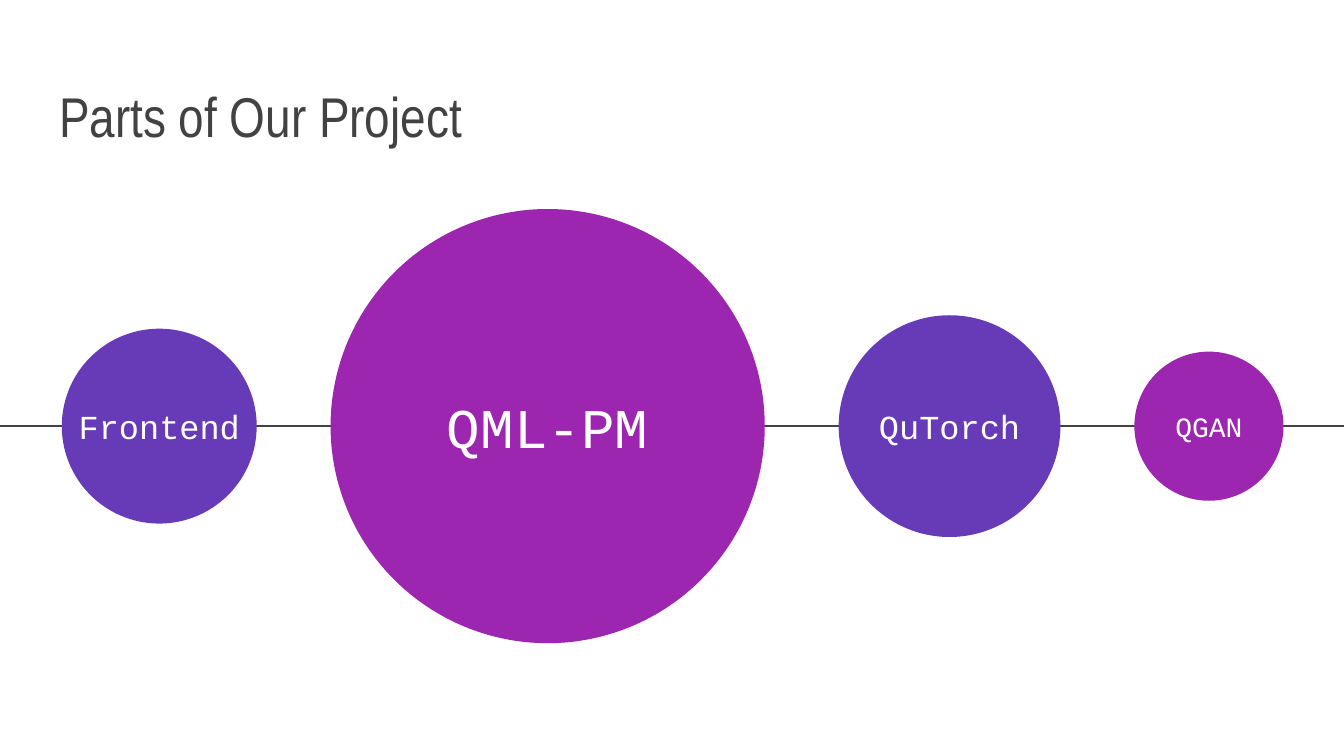
"""Build the slide that shows the project parts as circles on one line."""
from lxml import etree
from pptx import Presentation
from pptx import util as u
from pptx.dml.color import RGBColor
from pptx.enum import shapes, text
from pptx.oxml.ns import qn

TITLE = "Parts of Our Project"
PARTS = [
    ("Frontend", 104.4, "violet", "label"),
    ("QML-PM", 232.6, "purple", "large"),
    ("QuTorch", 118.8, "violet", "label"),
    ("QGAN", 79.9, "purple", "small"),
]
THEME = {
    "colors": {"dark": "424242", "violet": "673AB7", "purple": "9C26B0", "white": "FFFFFF"},
    "sizes": {"large": 30, "label": 18, "small": 15},
    "title_font": "Arial Narrow",
    "label_font": "Courier New",
}
WIDTH, HEIGHT = 720, 405
AXIS_Y = 228.3
FIRST_LEFT, GAP = 33.1, 39.6
LABEL_HEIGHT = 47.5
INSET = 7.2


def color(name):
    return RGBColor.from_string(THEME["colors"][name])


def write(shape, words, font_name, size, color_name, alignment, anchor):
    frame = shape.text_frame
    frame.text = words
    frame.word_wrap = True
    frame.auto_size = text.MSO_AUTO_SIZE.NONE
    frame.vertical_anchor = anchor
    frame.margin_left = frame.margin_right = u.Pt(INSET)
    frame.margin_top = frame.margin_bottom = u.Pt(INSET)
    paragraph = frame.paragraphs[0]
    paragraph.alignment = alignment
    paragraph.font.name = font_name
    paragraph.font.size = u.Pt(THEME["sizes"][size])
    paragraph.font.color.rgb = color(color_name)


def add_title(slide):
    title = slide.shapes.title
    title.left, title.top = u.Pt(24.5), u.Pt(29.5)
    title.width, title.height = u.Pt(671), u.Pt(57.6)
    write(title, TITLE, THEME["title_font"], "large", "dark",
          text.PP_ALIGN.LEFT, text.MSO_ANCHOR.BOTTOM)


def add_axis(slide):
    axis = slide.shapes.add_connector(
        shapes.MSO_CONNECTOR.STRAIGHT, 0, u.Pt(AXIS_Y), u.Pt(WIDTH), u.Pt(AXIS_Y))
    axis.line.color.rgb = color("dark")
    axis.line.width = u.Pt(1.5)
    etree.SubElement(axis._element.spPr, qn("a:effectLst"))


def add_part(slide, left, name, diameter, fill, size):
    circle = slide.shapes.add_shape(
        shapes.MSO_SHAPE.OVAL, u.Pt(left), u.Pt(AXIS_Y - diameter / 2),
        u.Pt(diameter), u.Pt(diameter))
    circle.shadow.inherit = False
    circle.fill.solid()
    circle.fill.fore_color.rgb = color(fill)
    circle.line.fill.background()
    label = slide.shapes.add_textbox(
        u.Pt(left), u.Pt(AXIS_Y - LABEL_HEIGHT / 2), u.Pt(diameter), u.Pt(LABEL_HEIGHT))
    write(label, name, THEME["label_font"], size, "white",
          text.PP_ALIGN.CENTER, text.MSO_ANCHOR.MIDDLE)


def main():
    presentation = Presentation()
    presentation.slide_width, presentation.slide_height = u.Pt(WIDTH), u.Pt(HEIGHT)
    slide = presentation.slides.add_slide(presentation.slide_layouts.get_by_name("Title Only"))
    add_title(slide)
    add_axis(slide)
    left = FIRST_LEFT
    for name, diameter, fill, size in PARTS:
        add_part(slide, left, name, diameter, fill, size)
        left += diameter + GAP
    presentation.save("out.pptx")


if __name__ == "__main__":
    main()
